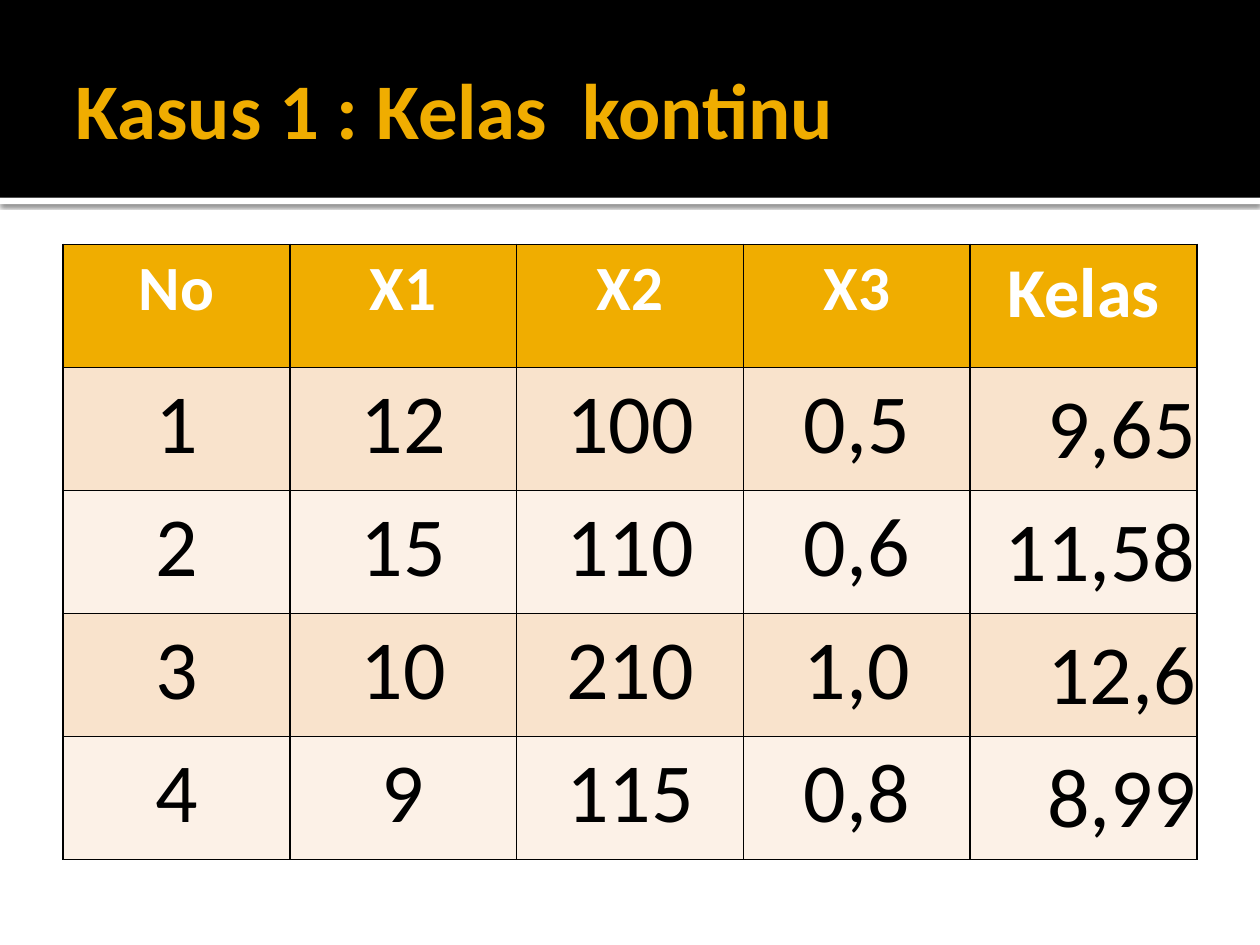
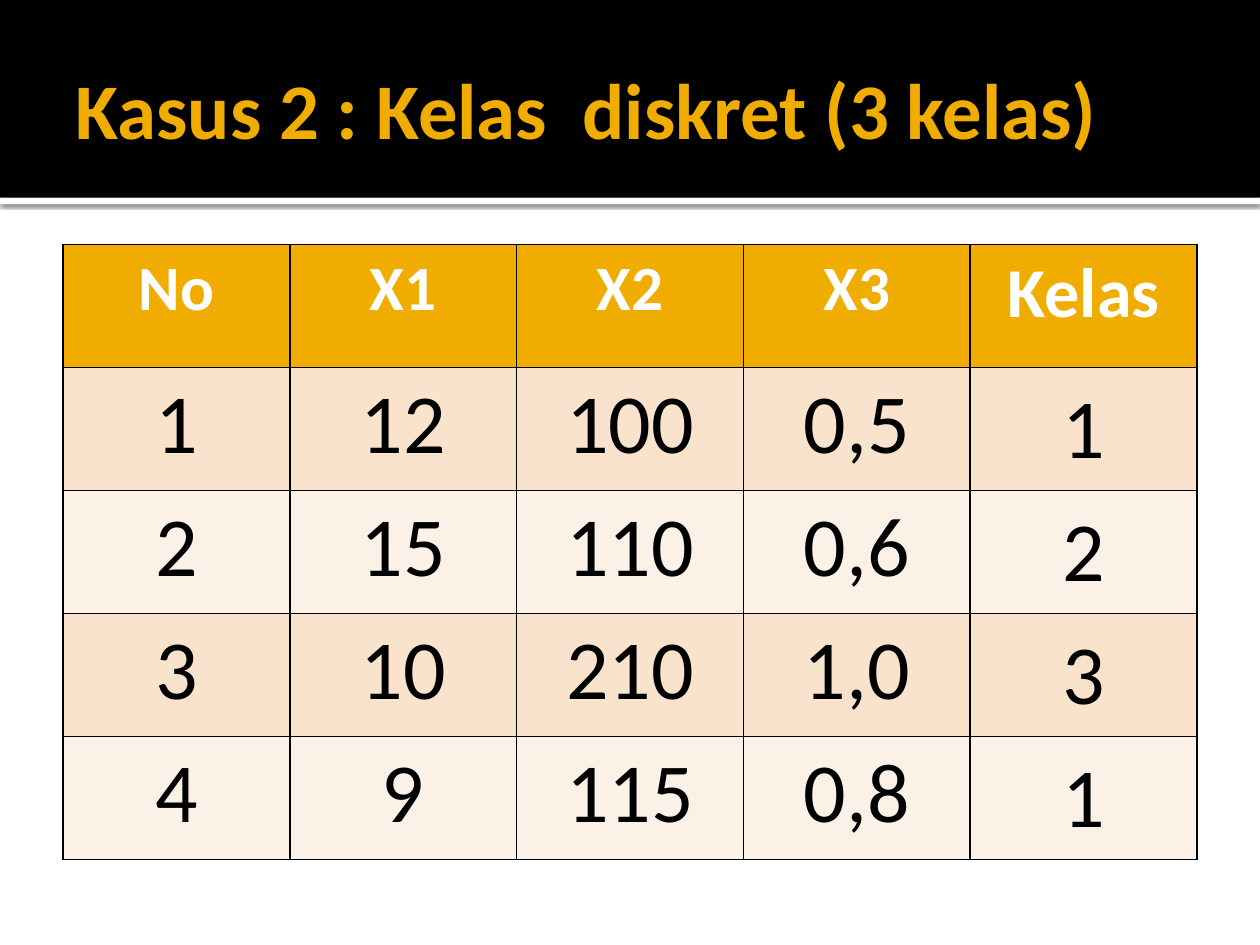
from pptx import Presentation
from pptx.dml.color import RGBColor
from pptx.enum import shapes, text
from pptx.oxml import parse_xml
from pptx.oxml.ns import nsdecls
from pptx.util import Inches, Pt

COLOURS = {
    "band": "000000",
    "rule": "FFFFFF",
    "accent": "F0AD00",
    "header_text": "FFFFFF",
    "ink": "000000",
    "row_dark": "F9E3CC",
    "row_light": "FCF1E7",
}
FONT = "Calibri"
BAND_BOX = (0, 0, 10, 1.57)
RULE_BOX = (0, 1.57, 10, 0.05)
TITLE_BOX = (0.5, 0.17, 9, 1.37)
TABLE_BOX = (0.5, 1.94, 9, 4.88)

HEADINGS = ["No", "X1", "X2", "X3", "Kelas"]
SAMPLES = [
    ["1", "12", "100", "0,5"],
    ["2", "15", "110", "0,6"],
    ["3", "10", "210", "1,0"],
    ["4", "9", "115", "0,8"],
]
CASES = [
    ("Kasus 1 : Kelas  kontinu", ["9,65", "11,58", "12,6", "8,99"], text.PP_ALIGN.RIGHT),
    ("Kasus 2 : Kelas  diskret (3 kelas)", ["1", "2", "3", "1"], text.PP_ALIGN.CENTER),
]


def colour(name):
    return RGBColor.from_string(COLOURS[name])


def write(frame, words, size, ink="ink", bold=False, align=text.PP_ALIGN.CENTER):
    paragraph = frame.paragraphs[0]
    paragraph.alignment = align
    run = paragraph.add_run()
    run.text = words
    run.font.name = FONT
    run.font.size = Pt(size)
    run.font.bold = bold
    run.font.color.rgb = colour(ink)


def set_margins(holder, left, top, right, bottom):
    holder.margin_left, holder.margin_top = Inches(left), Inches(top)
    holder.margin_right, holder.margin_bottom = Inches(right), Inches(bottom)


def add_bar(slide, box, fill):
    bar = slide.shapes.add_shape(shapes.MSO_SHAPE.RECTANGLE, *map(Inches, box))
    bar.shadow.inherit = False
    bar.fill.solid()
    bar.fill.fore_color.rgb = colour(fill)
    bar.line.fill.background()
    return bar


def add_shared_band(slide):
    rule = add_bar(slide, RULE_BOX, "rule")
    rule.shadow.inherit = True
    rule._element.spPr.append(parse_xml(
        f'<a:effectLst {nsdecls("a")}>'
        f'<a:outerShdw blurRad="{Pt(2.5)}" dist="{Pt(0.8)}" dir="5400000" rotWithShape="0">'
        f'<a:srgbClr val="{COLOURS["ink"]}"><a:alpha val="60000"/></a:srgbClr>'
        '</a:outerShdw></a:effectLst>'))
    band = add_bar(slide, BAND_BOX, "band")
    layout_tree = slide.slide_layout.shapes._spTree
    for position, bar in enumerate((rule, band), 2):
        layout_tree.insert(position, bar._element)


def add_title(slide, box, words):
    title = slide.shapes.title
    title.left, title.top, title.width, title.height = map(Inches, box)
    frame = title.text_frame
    frame.auto_size = text.MSO_AUTO_SIZE.NONE
    frame.word_wrap = True
    frame.vertical_anchor = text.MSO_ANCHOR.MIDDLE
    set_margins(frame, 0.1, 0.05, 0.05, 0.05)
    write(frame, words, 45, ink="accent", bold=True, align=text.PP_ALIGN.LEFT)


def outline(cell):
    properties = cell._tc.get_or_add_tcPr()
    for position, side in enumerate("LRTB"):
        properties.insert(position, parse_xml(
            f'<a:ln{side} {nsdecls("a")} w="{Pt(1)}"><a:solidFill>'
            f'<a:srgbClr val="{COLOURS["ink"]}"/></a:solidFill></a:ln{side}>'))


def add_samples_table(slide, box, classes, class_align):
    rows = [HEADINGS] + [sample + [kelas] for sample, kelas in zip(SAMPLES, classes)]
    table = slide.shapes.add_table(len(rows), len(HEADINGS), *map(Inches, box)).table
    last = len(HEADINGS) - 1
    for r, values in enumerate(rows):
        fill = "accent" if r == 0 else "row_dark" if r % 2 else "row_light"
        for c, value in enumerate(values):
            cell = table.cell(r, c)
            cell.fill.solid()
            cell.fill.fore_color.rgb = colour(fill)
            outline(cell)
            if r == 0:
                write(cell.text_frame, value, 40 if c == last else 36,
                      ink="header_text", bold=True)
            elif c == last:
                cell.vertical_anchor = text.MSO_ANCHOR.MIDDLE
                set_margins(cell, 0.01, 0.01, 0.01, 0)
                write(cell.text_frame, value, 48, align=class_align)
            else:
                write(cell.text_frame, value, 48)


def main():
    deck = Presentation()
    deck.slide_width, deck.slide_height = Inches(10), Inches(7.5)
    title_only = deck.slide_layouts.get_by_name("Title Only")
    for number, (heading, classes, class_align) in enumerate(CASES):
        slide = deck.slides.add_slide(title_only)
        if number == 0:
            add_shared_band(slide)
        add_title(slide, TITLE_BOX, heading)
        add_samples_table(slide, TABLE_BOX, classes, class_align)
    deck.save("out.pptx")


if __name__ == "__main__":
    main()
